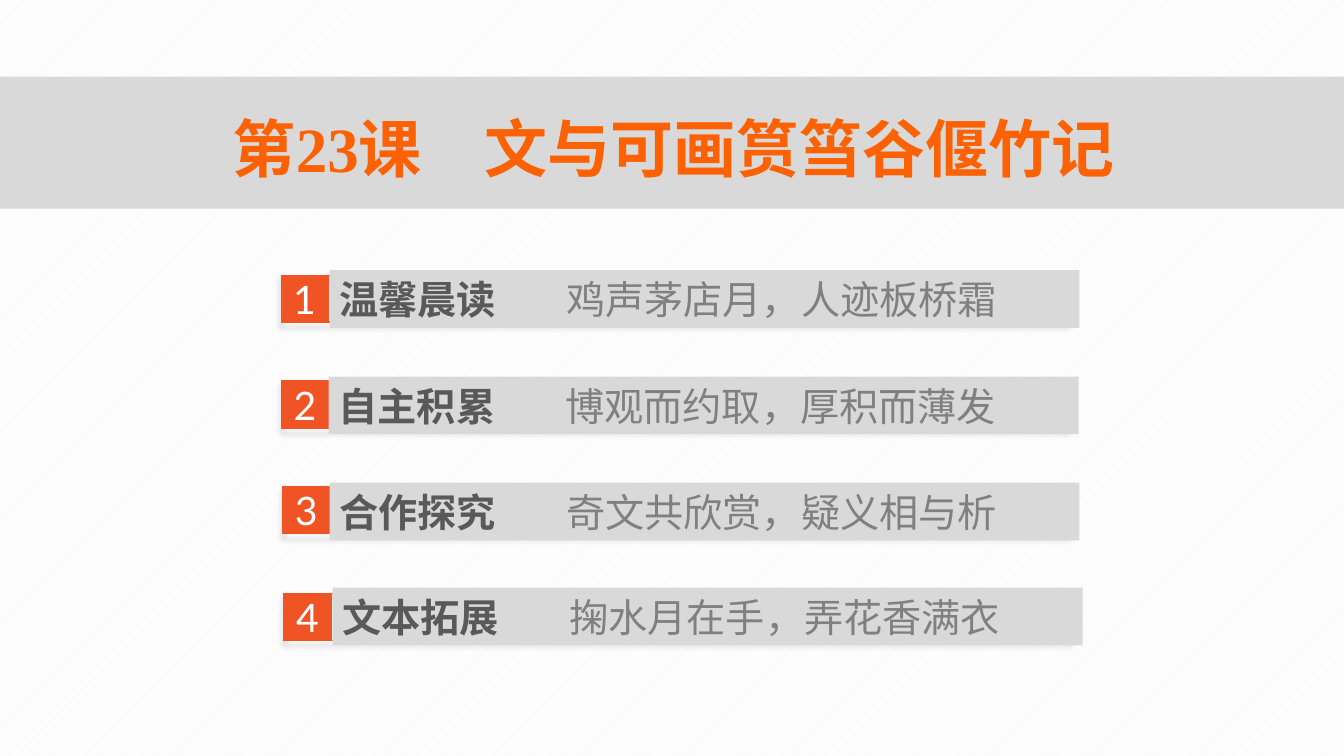
"""Build the contents slide of lesson 23 with four numbered sections."""
from lxml import etree
from pptx import Presentation
from pptx.dml.color import RGBColor
from pptx.enum.dml import MSO_PATTERN
from pptx.enum.shapes import MSO_SHAPE
from pptx.enum.text import MSO_ANCHOR, PP_ALIGN
from pptx.oxml.ns import qn
from pptx.util import Pt

TITLE = "第23课\u3000文与可画筼筜谷偃竹记"
# heading, motto, badge left, badge top, bar left, bar top
SECTIONS = [
    ("温馨晨读", "鸡声茅店月，人迹板桥霜", 200.9, 196.6, 235.4, 193),
    ("自主积累", "博观而约取，厚积而薄发", 201.2, 272.3, 234.8, 269),
    ("合作探究", "奇文共欣赏，疑义相与析", 202, 347.8, 235.4, 344.8),
    ("文本拓展", "掬水月在手，弄花香满衣", 203, 424, 237.6, 419.8),
]
BADGE = 33.4
FRAME_W = 561
BAR_W, BAR_H = 535.7, 41.2
MOTTO_TAB = 162

ORANGE = RGBColor(0xFC, 0x62, 0x04)
RED = RGBColor(0xF0, 0x54, 0x25)
GREY = RGBColor(0xD9, 0xD9, 0xD9)
DARK = RGBColor(0x59, 0x59, 0x59)
MID = RGBColor(0x80, 0x80, 0x80)
PALE = RGBColor(0xF2, 0xF2, 0xF2)
WHITE = RGBColor(0xFF, 0xFF, 0xFF)
CJK = "Noto Sans CJK SC"


def add_rect(s, x, y, w, h, fill=None, line=None):
    """Add a plain rectangle without shadow."""
    sp = s.shapes.add_shape(MSO_SHAPE.RECTANGLE, Pt(x), Pt(y), Pt(w), Pt(h))
    sp.shadow.inherit = False
    if fill is None:
        sp.fill.background()
    else:
        sp.fill.solid()
        sp.fill.fore_color.rgb = fill
    if line is None:
        sp.line.fill.background()
    else:
        sp.line.color.rgb = line
        sp.line.width = Pt(1)
    return sp


def add_shadow(sp):
    """Give a shape a soft shadow falling straight down."""
    effects = sp._element.spPr.find(qn("a:effectLst"))
    shadow = etree.SubElement(effects, qn("a:outerShdw"), blurRad=str(Pt(4)),
                              dist=str(Pt(3)), dir="5400000", rotWithShape="0")
    color = etree.SubElement(shadow, qn("a:srgbClr"), val="000000")
    etree.SubElement(color, qn("a:alpha"), val="40000")


def setup_frame(sp, align, inset=0):
    """Centre text vertically and return the first paragraph."""
    tf = sp.text_frame
    tf.word_wrap = True
    tf.vertical_anchor = MSO_ANCHOR.MIDDLE
    tf.margin_left = tf.margin_right = Pt(inset)
    tf.margin_top = tf.margin_bottom = 0
    p = tf.paragraphs[0]
    p.alignment = align
    return p


def add_text(p, text, size=28, font=CJK, color=DARK, bold=False):
    """Append a formatted run to a paragraph."""
    r = p.add_run()
    r.text = text
    r.font.size = Pt(size)
    r.font.name = font
    r.font.bold = bold
    r.font.color.rgb = color
    latin = r._r.rPr.find(qn("a:latin"))
    latin.addnext(latin.makeelement(qn("a:ea"), {"typeface": CJK}))


def add_section(s, number, heading, motto, badge_x, badge_y, bar_x, bar_y):
    """Add one numbered bar with its heading and motto."""
    add_shadow(add_rect(s, badge_x, badge_y, FRAME_W, BADGE, line=RED))
    badge = add_rect(s, badge_x, badge_y, BADGE, BADGE, fill=RED, line=RED)
    add_text(setup_frame(badge, PP_ALIGN.CENTER), str(number), font="Lato", color=WHITE)
    bar = add_rect(s, bar_x, bar_y, BAR_W, BAR_H, fill=GREY)
    p = setup_frame(bar, PP_ALIGN.LEFT, inset=7.2)
    tabs = etree.SubElement(p._p.get_or_add_pPr(), qn("a:tabLst"))
    etree.SubElement(tabs, qn("a:tab"), pos=str(Pt(MOTTO_TAB)), algn="l")
    add_text(p, heading + "\t", bold=True)
    add_text(p, motto, color=MID)


def main():
    """Build and save the slide."""
    prs = Presentation()
    prs.slide_width, prs.slide_height = Pt(960), Pt(540)
    s = prs.slides.add_slide(prs.slide_layouts[6])
    bg = s.background.fill
    bg.patterned()
    bg.pattern = MSO_PATTERN.LIGHT_UPWARD_DIAGONAL
    bg.fore_color.rgb = PALE
    bg.back_color.rgb = WHITE

    add_rect(s, 0, 54.7, 960, 94.3, fill=GREY)
    for number, section in enumerate(SECTIONS, 1):
        add_section(s, number, *section)
    title = s.shapes.add_textbox(Pt(82.8), Pt(75.6), Pt(797), Pt(59))
    add_text(setup_frame(title, PP_ALIGN.CENTER), TITLE, size=45,
             font="Times New Roman", color=ORANGE, bold=True)
    prs.save("out.pptx")


if __name__ == "__main__":
    main()
